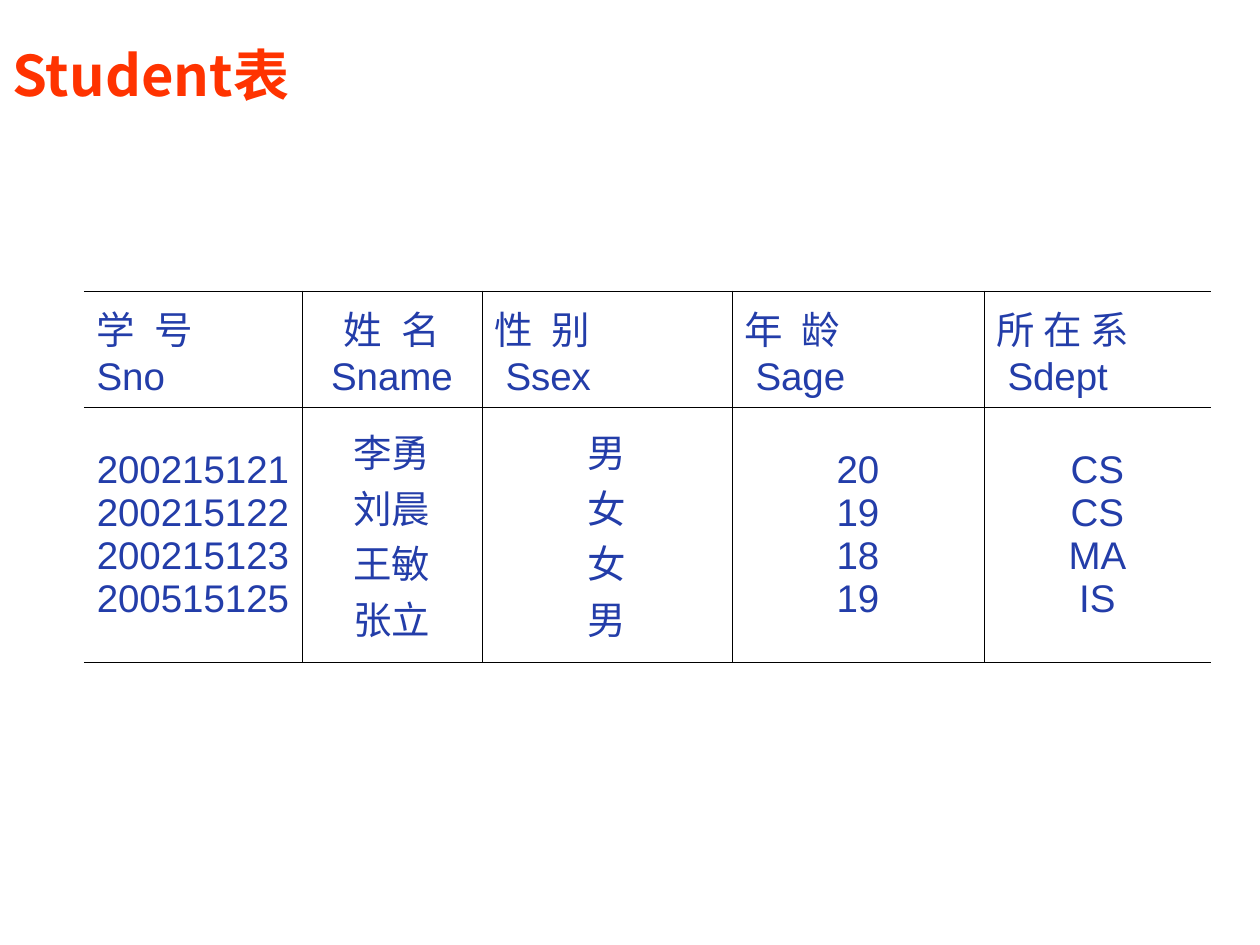
from lxml import etree
from pptx import Presentation
from pptx.dml.color import RGBColor
from pptx.enum.text import MSO_ANCHOR, PP_ALIGN
from pptx.oxml.ns import qn
from pptx.util import Emu, Pt

LEFT, CENTER = PP_ALIGN.LEFT, PP_ALIGN.CENTER
MIDDLE = MSO_ANCHOR.MIDDLE
RED = RGBColor(0xFF, 0x33, 0x00)
BLUE = RGBColor(0x23, 0x3D, 0xA9)
BLACK = RGBColor(0x00, 0x00, 0x00)
CJK_FONT, LATIN_FONT = "Noto Sans CJK SC", "Arial"
TITLE_ONLY = 5
PX_PER_INCH = 126
RULE_WIDTH = Pt(0.45)
COLUMN_WIDTHS = (218, 180, 250, 252, 227)
ROW_HEIGHTS = (116, 255)
WIDE, NORMAL = 300, 0

# Each column: name, field, letter spacing, alignment, field indent, values
COLUMNS = (
    ("学 号", "Sno", WIDE, LEFT, 0,
     ("200215121", "200215122", "200215123", "200515125")),
    ("姓 名", "Sname", WIDE, CENTER, 0, ("李勇", "刘晨", "王敏", "张立")),
    ("性 别", "Ssex", WIDE, LEFT, 11, ("男", "女", "女", "男")),
    ("年 龄", "Sage", WIDE, LEFT, 11, ("20", "19", "18", "19")),
    ("所 在 系", "Sdept", NORMAL, LEFT, 11, ("CS", "CS", "MA", "IS")),
)


def px(length):
    """Turn whole pixels into EMU."""
    return Emu(round(length * 914400 / PX_PER_INCH))


def add_span(para, text, font, size, color, bold=False, spacing=NORMAL):
    """Add one formatted run to a paragraph."""
    span = para.add_run()
    span.text = text
    span.font.name = font
    span.font.size = Pt(size)
    span.font.bold = bold
    span.font.color.rgb = color
    properties = span.font._element
    etree.SubElement(properties, qn("a:ea"), typeface=CJK_FONT)
    if spacing:
        properties.set("spc", str(spacing))


def add_title(page, text):
    """Place and fill the title placeholder."""
    box = page.shapes.title
    box.left, box.top, box.width, box.height = px(0), px(35), px(1018), px(78)
    box.text_frame.vertical_anchor = MIDDLE
    para = box.text_frame.paragraphs[0]
    para.alignment = LEFT
    add_span(para, text, CJK_FONT, 32, RED, bold=True)


def set_borders(cell, is_first, is_last):
    """Rule a cell on all sides except the table's outer left and right."""
    properties = cell._tc.get_or_add_tcPr()
    sides = (("lnL", not is_first), ("lnR", not is_last),
             ("lnT", True), ("lnB", True))
    for side, is_ruled in sides:
        line = etree.SubElement(properties, qn(f"a:{side}"), w=str(RULE_WIDTH))
        if is_ruled:
            fill = etree.SubElement(line, qn("a:solidFill"))
            etree.SubElement(fill, qn("a:srgbClr"), val=str(BLACK))
        else:
            etree.SubElement(line, qn("a:noFill"))
    cell.fill.background()


def fill_cell(cell, lines, alignment):
    """Write (text, spacing, indent) lines as paragraphs of a cell."""
    cell.vertical_anchor = MIDDLE
    frame = cell.text_frame
    for index, (text, spacing, indent) in enumerate(lines):
        para = frame.add_paragraph() if index else frame.paragraphs[0]
        para.alignment = alignment
        if indent:
            para._p.get_or_add_pPr().set("marL", str(px(indent)))
        add_span(para, text, LATIN_FONT, 22, BLUE, spacing=spacing)


def add_student_table(page):
    """Build the student table with a heading row and a row of values."""
    frame = page.shapes.add_table(
        len(ROW_HEIGHTS), len(COLUMNS), px(84), px(291),
        px(sum(COLUMN_WIDTHS)), px(sum(ROW_HEIGHTS)))
    table = frame.table
    table.first_row = table.horz_banding = False
    for row, height in zip(table.rows, ROW_HEIGHTS):
        row.height = px(height)
    last = len(COLUMNS) - 1
    for index, (name, field, spacing, alignment, indent, values) in enumerate(COLUMNS):
        table.columns[index].width = px(COLUMN_WIDTHS[index])
        heading, body = table.cell(0, index), table.cell(1, index)
        fill_cell(heading, ((name, spacing, 0), (field, NORMAL, indent)), alignment)
        fill_cell(body, [(value, NORMAL, 0) for value in values], CENTER)
        for cell in (heading, body):
            set_borders(cell, index == 0, index == last)


def main():
    """Build and save the deck."""
    deck = Presentation()
    deck.slide_width, deck.slide_height = px(1260), px(945)
    page = deck.slides.add_slide(deck.slide_layouts[TITLE_ONLY])
    add_title(page, "Student表")
    add_student_table(page)
    deck.save("out.pptx")


if __name__ == "__main__":
    main()
